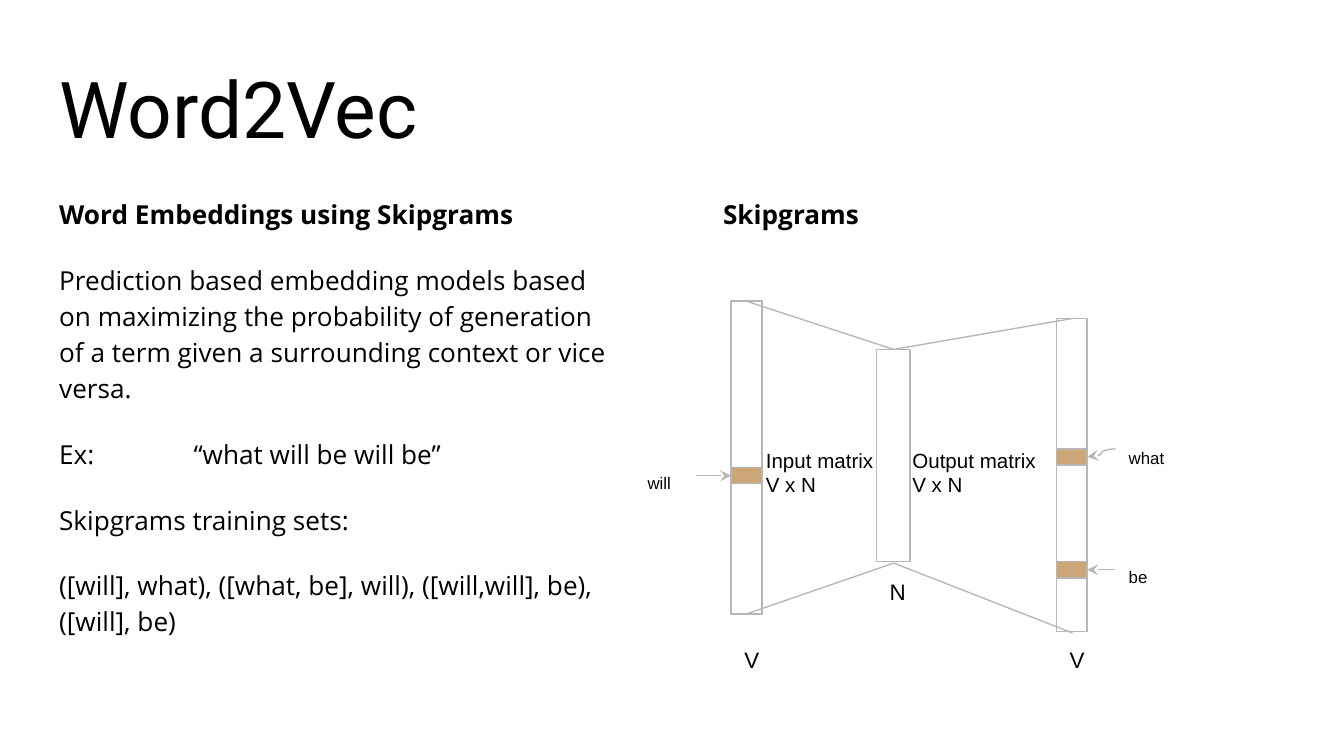
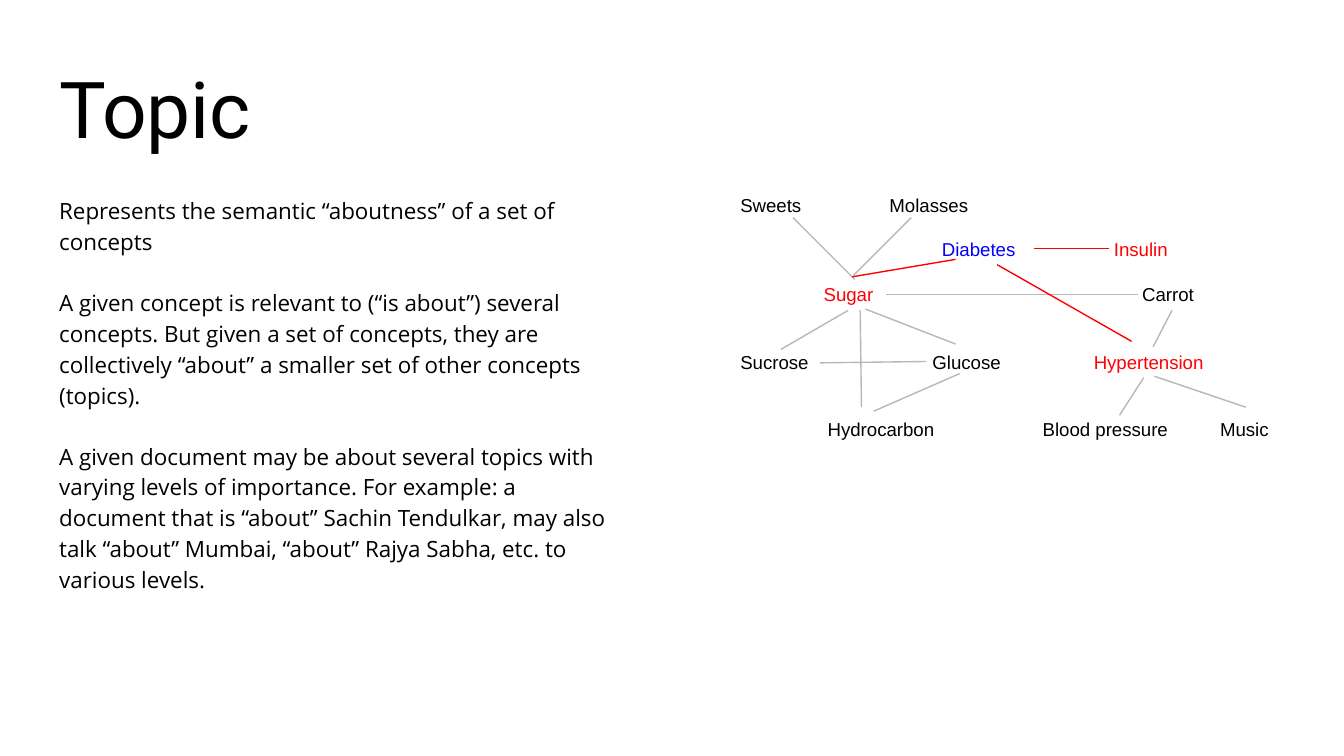
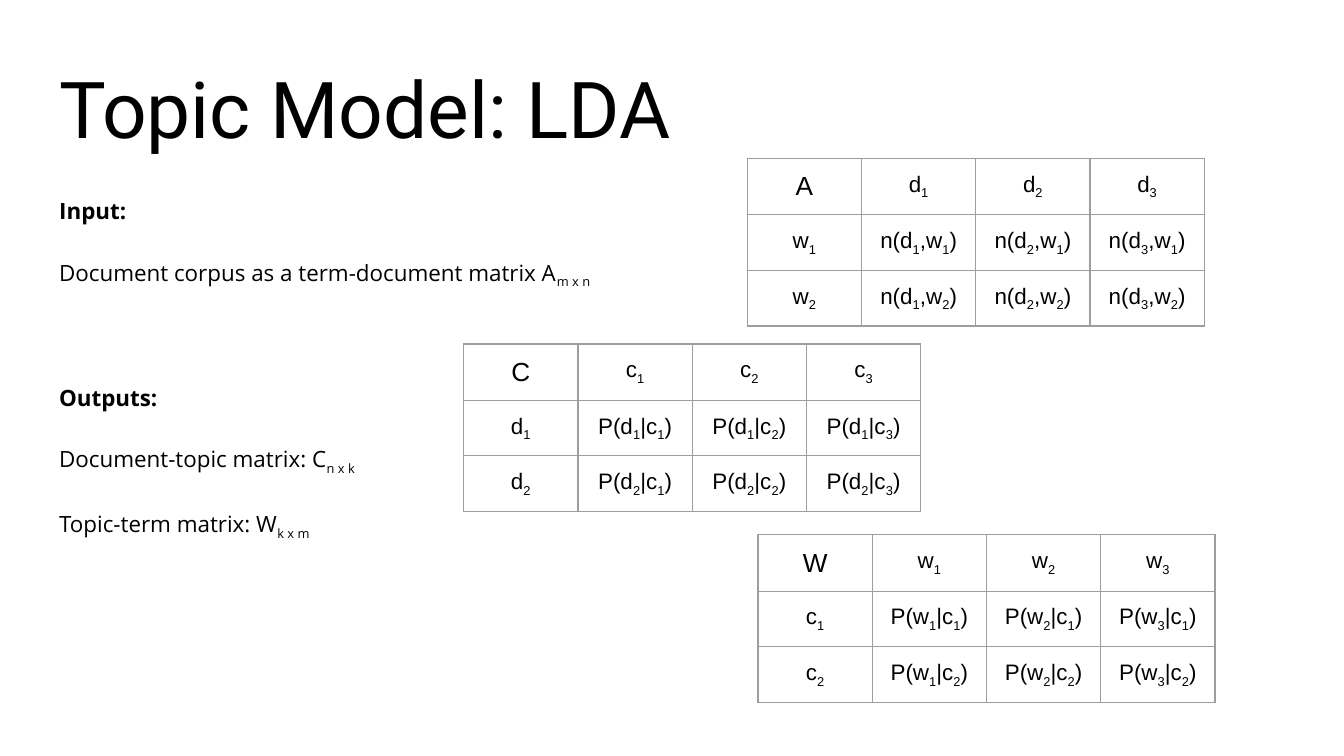
from dataclasses import dataclass

from lxml.etree import SubElement
from pptx import Presentation
from pptx.dml.color import RGBColor
from pptx.enum.shapes import MSO_CONNECTOR, MSO_SHAPE
from pptx.enum.text import MSO_ANCHOR, MSO_AUTO_SIZE, PP_ALIGN
from pptx.oxml.ns import qn
from pptx.util import Inches, Pt

LEFT, CENTER = PP_ALIGN.LEFT, PP_ALIGN.CENTER
TOP, BOTTOM = MSO_ANCHOR.TOP, MSO_ANCHOR.BOTTOM
NO_FIT = MSO_AUTO_SIZE.NONE
RECT = MSO_SHAPE.RECTANGLE
STRAIGHT, CURVE = MSO_CONNECTOR.STRAIGHT, MSO_CONNECTOR.CURVE


@dataclass(frozen=True)
class Theme:
    """Colours, fonts, sizes and places shared by the slides."""
    ink: str = "000000"
    line: str = "B7B7B7"
    grid: str = "9E9E9E"
    slot: str = "CCA677"
    red: str = "FF0000"
    blue: str = "0000FF"
    head_font: str = "Roboto"
    body_font: str = "Open Sans"
    draw_font: str = "Arial"
    head_size: float = 42
    large: float = 14
    mid: float = 12
    note: float = 11
    node: float = 10
    small: float = 9
    stroke: float = 0.75
    pad: float = 0.1
    gap: float = 16
    lead: float = 1.15
    head_box: tuple = (0.34, 0.35, 9.32, 0.9)
    left_box: tuple = (0.34, 1.34, 4.37, 3.67)
    right_box: tuple = (5.28, 1.34, 4.37, 0.49)


THEME = Theme()


@dataclass(frozen=True)
class Para:
    """A body paragraph with its weight and the gap above it."""
    text: str
    bold: bool = False
    gap: float = THEME.gap


def set_font(par, name, size, color=THEME.ink, bold=False):
    """Set the font of a whole paragraph."""
    font = par.font
    font.name, font.size, font.bold = name, Pt(size), bold
    font.color.rgb = RGBColor.from_string(color)


def add_runs(par, text):
    """Add runs, lowering each part held between underscores."""
    for i, part in enumerate(text.split("_")):
        if part:
            run = par.add_run()
            run.text = part
            if i % 2:
                run._r.get_or_add_rPr().set("baseline", "-25000")


def set_frame(frame, anchor=TOP):
    """Give a text frame the shared insets and wrapping."""
    frame.word_wrap = True
    frame.auto_size = NO_FIT
    frame.vertical_anchor = anchor
    frame.margin_left = frame.margin_right = Inches(THEME.pad)
    frame.margin_top = frame.margin_bottom = Inches(THEME.pad)


def place(shape, box):
    """Move a placeholder to a box in inches."""
    shape.left, shape.top, shape.width, shape.height = map(Inches, box)


def add_slide(deck, layout, title):
    """Add a slide and fill its title."""
    slide = deck.slides.add_slide(deck.slide_layouts[layout])
    head = slide.shapes.title
    place(head, THEME.head_box)
    set_frame(head.text_frame, BOTTOM)
    par = head.text_frame.paragraphs[0]
    par.alignment = LEFT
    add_runs(par, title)
    set_font(par, THEME.head_font, THEME.head_size)
    return slide


def next_par(frame, i):
    """Return the first paragraph, or add one after it."""
    return frame.add_paragraph() if i else frame.paragraphs[0]


def fill_body(holder, box, size, paras):
    """Fill a body placeholder with plain paragraphs."""
    place(holder, box)
    frame = holder.text_frame
    set_frame(frame)
    for i, item in enumerate(paras):
        par = next_par(frame, i)
        par.line_spacing = THEME.lead
        par.space_before = Pt(item.gap if i else 0)
        props = par._p.get_or_add_pPr()
        for key, value in (("marL", 0), ("indent", 0), ("defTabSz", Inches(1))):
            props.set(key, str(value))
        SubElement(props, qn("a:buNone"))
        add_runs(par, item.text)
        set_font(par, THEME.body_font, size, bold=item.bold)


def add_label(slide, box, lines, size):
    """Add a text box with one paragraph for each line."""
    frame = slide.shapes.add_textbox(*map(Inches, box)).text_frame
    set_frame(frame)
    for i, text in enumerate(lines):
        par = next_par(frame, i)
        par.text = text
        set_font(par, THEME.draw_font, size)


def add_nodes(slide, box, rows):
    """Add a text box whose rows hold coloured words at tab stops."""
    frame = slide.shapes.add_textbox(*map(Inches, box)).text_frame
    set_frame(frame)
    for i, (gap, words) in enumerate(rows):
        par = next_par(frame, i)
        par.space_before = Pt(gap)
        tabs = SubElement(par._p.get_or_add_pPr(), qn("a:tabLst"))
        for stop, text, color in words:
            if stop:
                SubElement(tabs, qn("a:tab"), pos=str(Inches(stop)), algn="l")
            run = par.add_run()
            run.text = f"\t{text}" if stop else text
            run.font.color.rgb = RGBColor.from_string(color)
        set_font(par, THEME.draw_font, THEME.node)


def add_bar(slide, box, fill=None):
    """Add a thin outlined bar, filled if a colour is given."""
    bar = slide.shapes.add_shape(RECT, *map(Inches, box))
    bar.shadow.inherit = False
    bar.line.color.rgb = RGBColor.from_string(THEME.line)
    bar.line.width = Pt(THEME.stroke)
    if fill:
        bar.fill.solid()
        bar.fill.fore_color.rgb = RGBColor.from_string(fill)
    else:
        bar.fill.background()


def add_link(slide, start, end, color=THEME.line, arrow=False):
    """Join two points by a line, or by a curved arrow."""
    kind = CURVE if arrow else STRAIGHT
    link = slide.shapes.add_connector(kind, *map(Inches, start + end))
    link.line.color.rgb = RGBColor.from_string(color)
    link.line.width = Pt(THEME.stroke)
    props = link._element.spPr
    if arrow:
        SubElement(props.find(qn("a:ln")), qn("a:tailEnd"), type="stealth")
    SubElement(props, qn("a:effectLst"))


def style_cell(cell):
    """Give a cell thin borders, even insets and no fill."""
    props = cell._tc.get_or_add_tcPr()
    for side in "LRTB":
        edge = SubElement(props, qn(f"a:ln{side}"), w=str(Pt(THEME.stroke)))
        paint = SubElement(edge, qn("a:solidFill"))
        SubElement(paint, qn("a:srgbClr"), val=THEME.grid)
    cell.fill.background()
    cell.vertical_anchor = TOP
    cell.margin_left = cell.margin_right = Inches(THEME.pad)
    cell.margin_top = cell.margin_bottom = Inches(THEME.pad)


def add_matrix(slide, left, top, name, rows):
    """Add a matrix table from its name and rows of text."""
    wide, high = 0.85, 0.41
    count = len(rows[0])
    area = (wide * count, high * len(rows))
    frame = slide.shapes.add_table(
        len(rows), count, *map(Inches, (left, top) + area))
    table = frame.table
    table.first_row = table.horz_banding = False
    for r, row in enumerate(rows):
        for c, text in enumerate(row):
            cell = table.cell(r, c)
            style_cell(cell)
            par = cell.text_frame.paragraphs[0]
            par.alignment = CENTER
            add_runs(par, text)
            size = THEME.large if text == name else THEME.mid
            set_font(par, THEME.draw_font, size)


def make_rows(name, across, down, form):
    """Build two rows of entries under a header of three columns."""
    rows = [[name] + [f"{across}_{c}_" for c in (1, 2, 3)]]
    for r in (1, 2):
        cells = [form.format(r=r, c=c) for c in (1, 2, 3)]
        rows.append([f"{down}_{r}_"] + cells)
    return rows


def draw_net(slide):
    """Draw the skipgram network."""
    in_x, mid_x, out_x, wide = 5.44, 6.52, 7.86, 0.23
    for box in ((in_x, 2.24, wide, 2.33), (mid_x, 2.6, 0.25, 1.58),
                (out_x, 2.37, wide, 2.33)):
        add_bar(slide, box)
    mid_top, mid_low = (6.65, 2.6), (6.65, 4.19)
    for start, end in (((5.55, 2.24), mid_top), ((5.55, 4.57), mid_low),
                       (mid_top, (7.98, 2.37)), (mid_low, (7.98, 4.71))):
        add_link(slide, start, end)
    for left, text in ((5.6, "Input matrix"), (6.69, "Output matrix")):
        add_label(slide, (left, 3.23, 1.25, 0.52), [text, "V x N"], THEME.note)
    for left, top, text in ((in_x, 4.71, "V"), (mid_x, 4.2, "N"),
                            (out_x, 4.71, "V")):
        add_label(slide, (left, top, 0.25, 0.36), [text], THEME.mid)
    for left, top in ((in_x, 3.48), (out_x, 3.34), (out_x, 4.18)):
        add_bar(slide, (left, top, wide, 0.12), THEME.slot)
    for left, top, text in ((4.72, 3.42, "will"), (8.3, 3.23, "what"),
                            (8.3, 4.12, "be")):
        add_label(slide, (left, top, 0.47, 0.23), [text], THEME.small)
    for start, end in (((5.18, 3.54), (5.44, 3.54)),
                       ((8.3, 4.24), (8.09, 4.24)),
                       ((8.3, 3.34), (8.09, 3.4))):
        add_link(slide, start, end, arrow=True)


def draw_web(slide):
    """Draw the web of linked concepts."""
    ink, red, blue = THEME.ink, THEME.red, THEME.blue
    line = 12
    add_nodes(slide, (5.41, 1.34, 4.25, 0.5), (
        (0, ((0, "Sweets", ink), (1.11, "Molasses", ink))),
        (line, ((1.5, "Diabetes", blue), (2.78, "Insulin", red))),
        (line, ((0.62, "Sugar", red), (2.99, "Carrot", ink))),
        (2 * line, ((0, "Sucrose", ink), (1.43, "Glucose", ink),
                    (2.63, "Hypertension", red))),
        (2 * line, ((0.65, "Hydrocarbon", ink), (2.25, "Blood pressure", ink),
                    (3.57, "Music", ink))),
    ))
    gray_links = (
        ((6.36, 2.08), (5.9, 1.62)), ((6.35, 2.05), (6.78, 1.62)),
        ((8.47, 2.19), (6.59, 2.19)), ((6.31, 2.31), (5.81, 2.6)),
        ((6.1, 2.7), (6.89, 2.69)), ((6.44, 2.3), (7.11, 2.56)),
        ((8.51, 2.81), (8.33, 3.09)), ((6.4, 2.31), (6.41, 3.03)),
        ((7.14, 2.78), (6.5, 3.06)), ((8.59, 2.8), (9.27, 3.03)),
        ((8.72, 2.31), (8.58, 2.58)),
    )
    red_links = (
        ((6.34, 2.06), (7.11, 1.93)), ((8.25, 1.85), (7.69, 1.85)),
        ((8.42, 2.54), (7.42, 1.97)),
    )
    for color, links in ((THEME.line, gray_links), (red, red_links)):
        for start, end in links:
            add_link(slide, start, end, color)


def add_word(deck):
    """Add the Word2Vec slide."""
    slide = add_slide(deck, 3, "Word2Vec")
    fill_body(slide.placeholders[1], THEME.left_box, THEME.large, [
        Para("Word Embeddings using Skipgrams", bold=True),
        Para("Prediction based embedding models based on maximizing the "
             "probability of generation of a term given a surrounding "
             "context or vice versa."),
        Para("Ex:\t“what will be will be”"),
        Para("Skipgrams training sets:"),
        Para("([will], what), ([what, be], will), ([will,will], be), "
             "([will], be)"),
    ])
    fill_body(slide.placeholders[2], THEME.right_box, THEME.large,
              [Para("Skipgrams", bold=True)])
    draw_net(slide)


def add_topic(deck):
    """Add the topic slide."""
    slide = add_slide(deck, 1, "Topic")
    fill_body(slide.placeholders[1], THEME.left_box, THEME.mid, [
        Para("Represents the semantic “aboutness” of a set of concepts"),
        Para("A given concept is relevant to (“is about”) several concepts. "
             "But given a set of concepts, they are collectively “about” a "
             "smaller set of other concepts (topics)."),
        Para("A given document may be about several topics with varying "
             "levels of importance. For example: a document that is “about” "
             "Sachin Tendulkar, may also talk “about” Mumbai, “about” Rajya "
             "Sabha, etc. to various levels."),
    ])
    draw_web(slide)


def add_model(deck):
    """Add the topic model slide."""
    slide = add_slide(deck, 1, "Topic Model: LDA")
    fill_body(slide.placeholders[1], THEME.left_box, THEME.mid, [
        Para("Input:", bold=True),
        Para("Document corpus as a term-document matrix A_m x n_"),
        Para("Outputs:", bold=True, gap=48.5),
        Para("Document-topic matrix: C_n x k_"),
        Para("Topic-term matrix: W_k x m_"),
    ])
    for left, top, name, across, down, form in (
            (5.56, 1.18, "A", "d", "w", "n(d_{c}_,w_{r}_)"),
            (3.45, 2.56, "C", "c", "d", "P(d_{r}_|c_{c}_)"),
            (5.64, 3.98, "W", "w", "c", "P(w_{c}_|c_{r}_)")):
        rows = make_rows(name, across, down, form)
        add_matrix(slide, left, top, name, rows)


def main():
    """Build and save the deck."""
    deck = Presentation()
    deck.slide_width = Inches(10)
    deck.slide_height = deck.slide_width * 9 // 16
    add_word(deck)
    add_topic(deck)
    add_model(deck)
    deck.save("out.pptx")


if __name__ == "__main__":
    main()
